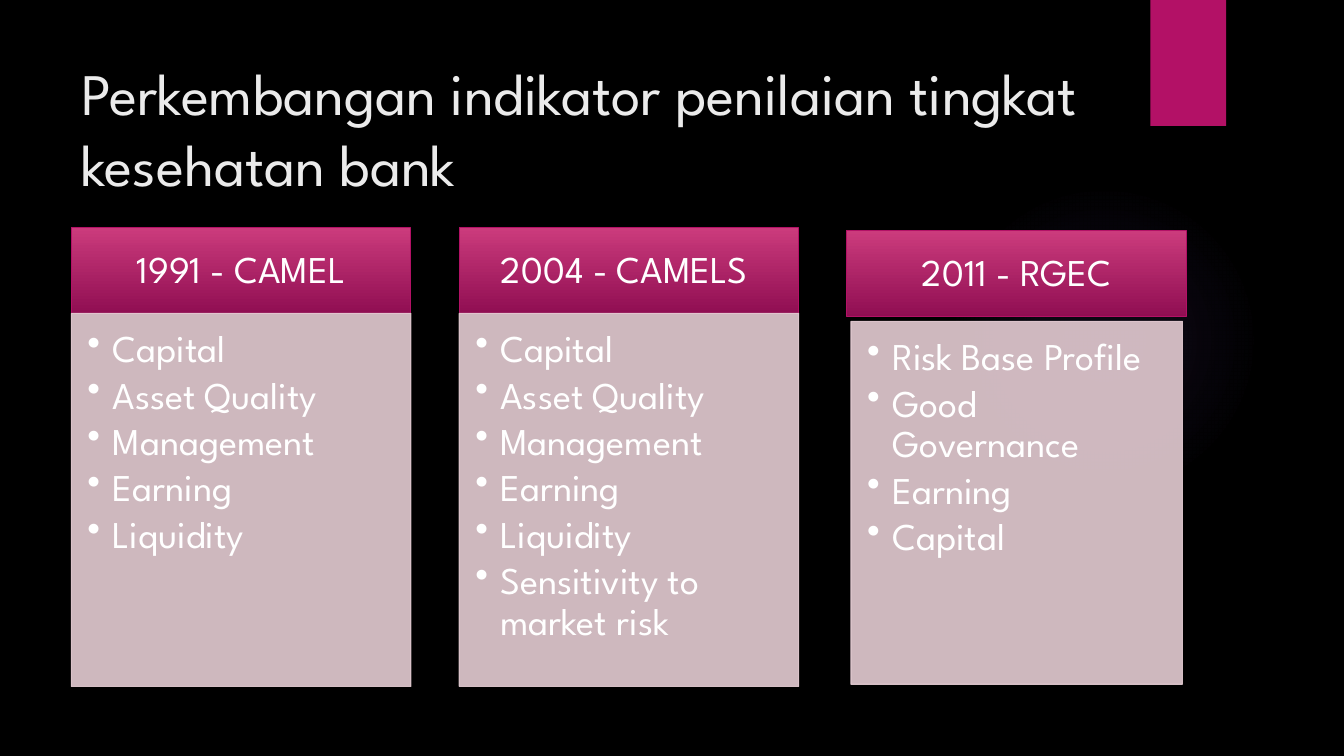
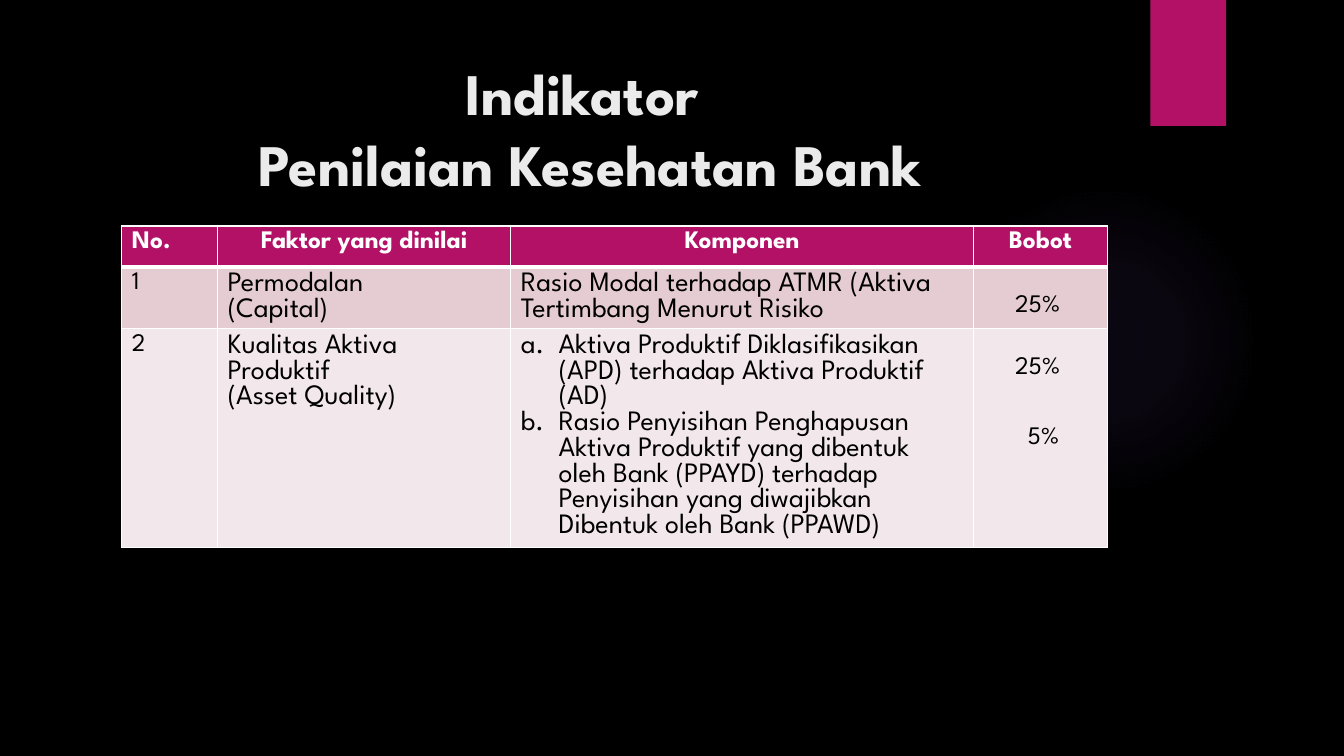
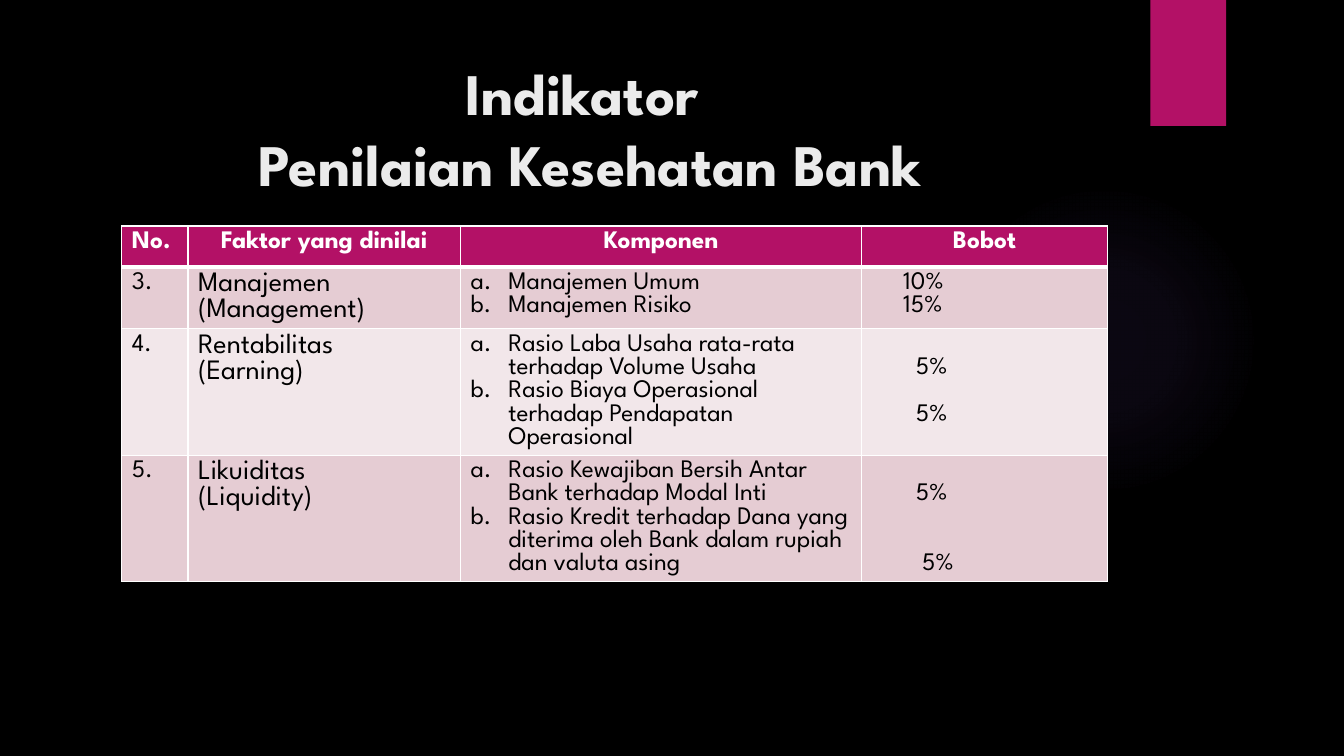
import pptx
import pptx.dml.color
import pptx.enum.shapes
import pptx.enum.text
import pptx.oxml
import pptx.oxml.ns
import pptx.util

Pt = pptx.util.Pt
qn = pptx.oxml.ns.qn
ALIGN = pptx.enum.text.PP_ALIGN
ANCHOR = pptx.enum.text.MSO_ANCHOR
SHAPE = pptx.enum.shapes.MSO_SHAPE

FONT = "League Spartan"
BLACK, WHITE = "000000", "FFFFFF"
MAGENTA, TITLE_INK, GLOW = "B31166", "EBEBEB", "9B6BF2"
HEADING_TOP, HEADING_BOTTOM = "CB3B7C", "900E52"
ROSE, PALE_ROSE = "E5CCD3", "F2E7EA"

TABLE_LINE = 0.92   # line height as a share of the text size
BODY, LARGE = 18, 20
LINE = round(BODY * TABLE_LINE, 2)
CELL_MARGIN = 3.6
SPACE_WIDTH = 4.5


def rgb(code):
    return pptx.dml.color.RGBColor.from_string(code)


def add_element(parent, xml):
    """Append an element written with the a: prefix."""
    head, mark, rest = xml.partition(" ") if " " in xml else xml.partition("/")
    element = pptx.oxml.parse_xml(f"{head} {pptx.oxml.ns.nsdecls('a')}{mark}{rest}")
    parent.append(element)
    return element


def write(para, text, size, color, line, bold=False):
    """Fill a paragraph with one run on an exact line height in points."""
    para.line_spacing = Pt(line)
    for number, piece in enumerate(text.split("\n")):
        if number:
            para.add_line_break()
        span = para.add_run()
        span.text = piece
        span.font.name = FONT
        span.font.size = Pt(size)
        span.font.bold = bold
        span.font.color.rgb = rgb(color)


def set_list(para, indent, marker):
    properties = para._p.get_or_add_pPr()
    properties.set("marL", str(Pt(indent)))
    properties.set("indent", str(-Pt(indent)))
    add_element(properties, marker)


def paragraphs(frame, count):
    return [frame.paragraphs[0]] + [frame.add_paragraph() for _ in range(count - 1)]


def set_margins(frame, left, top, right, bottom):
    frame.word_wrap = True
    frame.margin_left, frame.margin_top = Pt(left), Pt(top)
    frame.margin_right, frame.margin_bottom = Pt(right), Pt(bottom)


def add_box(page, kind, left, top, width, height):
    box = page.shapes.add_shape(kind, Pt(left), Pt(top), Pt(width), Pt(height))
    box.shadow.inherit = False
    box.line.fill.background()
    return box


def add_glow(page, left, top, size):
    glow = add_box(page, SHAPE.OVAL, left, top, size, size)
    stops = "".join(
        f'<a:gs pos="{place}000"><a:srgbClr val="{GLOW}">'
        f'<a:alpha val="{alpha}000"/></a:srgbClr></a:gs>'
        for place, alpha in ((0, 7), (36, 6), (69, 0)))
    fill = add_element(
        glow._element.spPr,
        f'<a:gradFill rotWithShape="1"><a:gsLst>{stops}</a:gsLst><a:path path="circle">'
        '<a:fillToRect l="50000" t="50000" r="50000" b="50000"/></a:path></a:gradFill>')
    glow._element.spPr.find(qn("a:prstGeom")).addnext(fill)


def add_page(deck, title, width, align=ALIGN.LEFT, bold=False):
    """Add a black slide with glow, ribbon and title."""
    page = deck.slides.add_slide(deck.slide_layouts[6])
    page.background.fill.solid()
    page.background.fill.fore_color.rgb = rgb(BLACK)
    add_glow(page, 677.5, 131.8, 221.8)
    ribbon = add_box(page, SHAPE.RECTANGLE, 821.8, 0, 54, 90)
    ribbon.fill.solid()
    ribbon.fill.fore_color.rgb = rgb(MAGENTA)
    frame = page.shapes.add_textbox(Pt(51), Pt(36), Pt(width), Pt(110.2)).text_frame
    set_margins(frame, 7.2, 3.6, 7.2, 3.6)
    frame.vertical_anchor = ANCHOR.MIDDLE
    frame.paragraphs[0].alignment = align
    write(frame.paragraphs[0], title, 42, TITLE_INK, 50.5, bold)
    return page


def add_card(page, left, top, heading, items, inset=0, gap=0, body_height=266.4):
    """Add a heading bar with a bulleted panel under it."""
    width, bar_height, size, line = 242.6, 61.2, 27, 29
    bar = add_box(page, SHAPE.RECTANGLE, left, top, width, bar_height)
    bar.fill.gradient()
    bar.fill.gradient_angle = 270
    for stop, color in zip(bar.fill.gradient_stops, (HEADING_TOP, HEADING_BOTTOM)):
        stop.color.rgb = rgb(color)
    panel = add_box(page, SHAPE.RECTANGLE, left + inset, top + bar_height + gap,
                    width - 2 * inset, body_height)
    panel.fill.solid()
    panel.fill.fore_color.rgb = rgb(ROSE)
    for box, color in ((bar, MAGENTA), (panel, ROSE)):
        box.line.color.rgb = rgb(color)
        box.line.width = Pt(0.75)
    for color in list(panel._element.spPr.iter(qn("a:srgbClr"))):
        add_element(color, '<a:alpha val="90000"/>')

    set_margins(bar.text_frame, 15.4, 8.6, 15.4, 8.6)
    bar.text_frame.vertical_anchor = ANCHOR.MIDDLE
    bar.text_frame.paragraphs[0].alignment = ALIGN.CENTER
    write(bar.text_frame.paragraphs[0], heading, size, WHITE, line)

    set_margins(panel.text_frame, 11.5, 11.5, 15.4, 17.3)
    panel.text_frame.vertical_anchor = ANCHOR.TOP
    for para, item in zip(paragraphs(panel.text_frame, len(items)), items):
        para.alignment = ALIGN.LEFT
        para.space_after = Pt(4.2)
        set_list(para, 18, '<a:buChar char="•"/>')
        write(para, item, size, WHITE, line)


def style_cell(cell, fill, top=1, bottom=1):
    properties = cell._tc.get_or_add_tcPr()
    for side, width in (("L", 1), ("R", 1), ("T", top), ("B", bottom)):
        add_element(properties,
                    f'<a:ln{side} w="{Pt(width)}"><a:solidFill><a:srgbClr val="{WHITE}"/>'
                    f'</a:solidFill></a:ln{side}>')
    cell.fill.solid()
    cell.fill.fore_color.rgb = rgb(fill)
    cell.margin_left = cell.margin_right = Pt(7.2)
    cell.margin_top = cell.margin_bottom = Pt(CELL_MARGIN)


def write_lines(cell, lines, size, lettered=False):
    for para, text in zip(paragraphs(cell.text_frame, len(lines)), lines):
        if lettered:
            set_list(para, 27, '<a:buAutoNum type="alphaLcPeriod"/>')
        write(para, text, size, BLACK, size * TABLE_LINE)


def write_weights(cell, weights):
    """Write (lines skipped, indent in spaces, text) entries down a cell."""
    cell.margin_top = Pt(CELL_MARGIN + weights[0][0] * LINE)
    entries = zip(paragraphs(cell.text_frame, len(weights)), weights)
    for number, (para, (skipped, indent, text)) in enumerate(entries):
        para._p.get_or_add_pPr().set("marL", str(Pt(indent * SPACE_WIDTH)))
        if number and skipped:
            para.space_before = Pt(skipped * LINE)
        write(para, text, BODY, BLACK, LINE)


def add_factor_table(page, left, top, widths, heights, factors, component_size):
    """Add the table of factors, their components and weights."""
    table = page.shapes.add_table(
        len(heights), len(widths), Pt(left), Pt(top), Pt(sum(widths)), Pt(sum(heights))).table
    table.horz_banding = False
    for column, width in zip(table.columns, widths):
        column.width = Pt(width)
    for row, height in zip(table.rows, heights):
        row.height = Pt(height)
    for column, label in enumerate(("No.", "Faktor yang dinilai", "Komponen", "Bobot")):
        cell = table.cell(0, column)
        style_cell(cell, MAGENTA, bottom=3)
        para = cell.text_frame.paragraphs[0]
        para.alignment = ALIGN.CENTER if column else ALIGN.LEFT
        write(para, label, BODY, WHITE, LINE, bold=True)
    for row, (number, names, components, weights) in enumerate(factors, 1):
        cells = [table.cell(row, column) for column in range(len(widths))]
        for cell in cells:
            style_cell(cell, ROSE if row % 2 else PALE_ROSE, top=3 if row == 1 else 1)
        write_lines(cells[0], [number], BODY)
        write_lines(cells[1], names, LARGE)
        write_lines(cells[2], components, component_size, lettered=len(components) > 1)
        write_weights(cells[3], weights)


def add_factor_page(deck, *table_parts):
    page = add_page(deck, "Indikator \nPenilaian Kesehatan Bank", 741, ALIGN.CENTER, True)
    add_factor_table(page, 87, 161.5, *table_parts)


def add_history_page(deck):
    page = add_page(deck, "Perkembangan indikator penilaian tingkat kesehatan bank", 841)
    left, top, step = 51, 162.7, 277
    camel = ["Capital", "Asset Quality", "Management", "Earning", "Liquidity"]
    add_card(page, left, top, "1991 - CAMEL", camel)
    add_card(page, left + step, top, "2004 - CAMELS ", camel + ["Sensitivity to market risk"])
    add_card(page, left + 2 * step, top + 2.2, "2011 - RGEC",
             ["Risk Base Profile", "Good Governance", "Earning", "Capital"],
             inset=2.9, gap=3.5, body_height=259.2)


def main():
    deck = pptx.Presentation()
    deck.slide_width, deck.slide_height = Pt(960), Pt(540)
    add_history_page(deck)
    add_factor_page(deck, (68.4, 209.5, 330.5, 95.8), (29.2, 44.2, 156.4), [
        ("1", ["Permodalan", "(Capital)"],
         ["Rasio Modal terhadap ATMR (Aktiva Tertimbang Menurut Risiko"],
         [(1, 5, "25%")]),
        ("2", ["Kualitas Aktiva Produktif", "(Asset Quality)"],
         ["Aktiva Produktif Diklasifikasikan (APD) terhadap Aktiva Produktif (AD)",
          "Rasio Penyisihan Penghapusan Aktiva Produktif yang dibentuk oleh Bank (PPAYD) "
          "terhadap Penyisihan yang diwajibkan Dibentuk oleh Bank (PPAWD)"],
         [(1, 5, "25%"), (2, 7, "5%")]),
    ], LARGE)
    add_factor_page(deck, (47.3, 194.7, 286.5, 175.7), (29.2, 44.2, 90.2, 90.2), [
        ("3.", ["Manajemen", "(Management)"],
         ["Manajemen Umum", "Manajemen Risiko"],
         [(0, 5, "10%"), (0, 5, "15%")]),
        ("4.", ["Rentabilitas", "(Earning)"],
         ["Rasio Laba Usaha rata-rata terhadap Volume Usaha",
          "Rasio Biaya Operasional terhadap Pendapatan Operasional"],
         [(1, 7, "5%"), (1, 7, "5%")]),
        ("5.", ["Likuiditas", "(Liquidity)"],
         ["Rasio Kewajiban Bersih Antar Bank terhadap Modal Inti",
          "Rasio Kredit terhadap Dana yang diterima oleh Bank dalam rupiah dan valuta asing"],
         [(1, 7, "5%"), (2, 8, "5%")]),
    ], BODY)
    deck.save("out.pptx")


if __name__ == "__main__":
    main()
